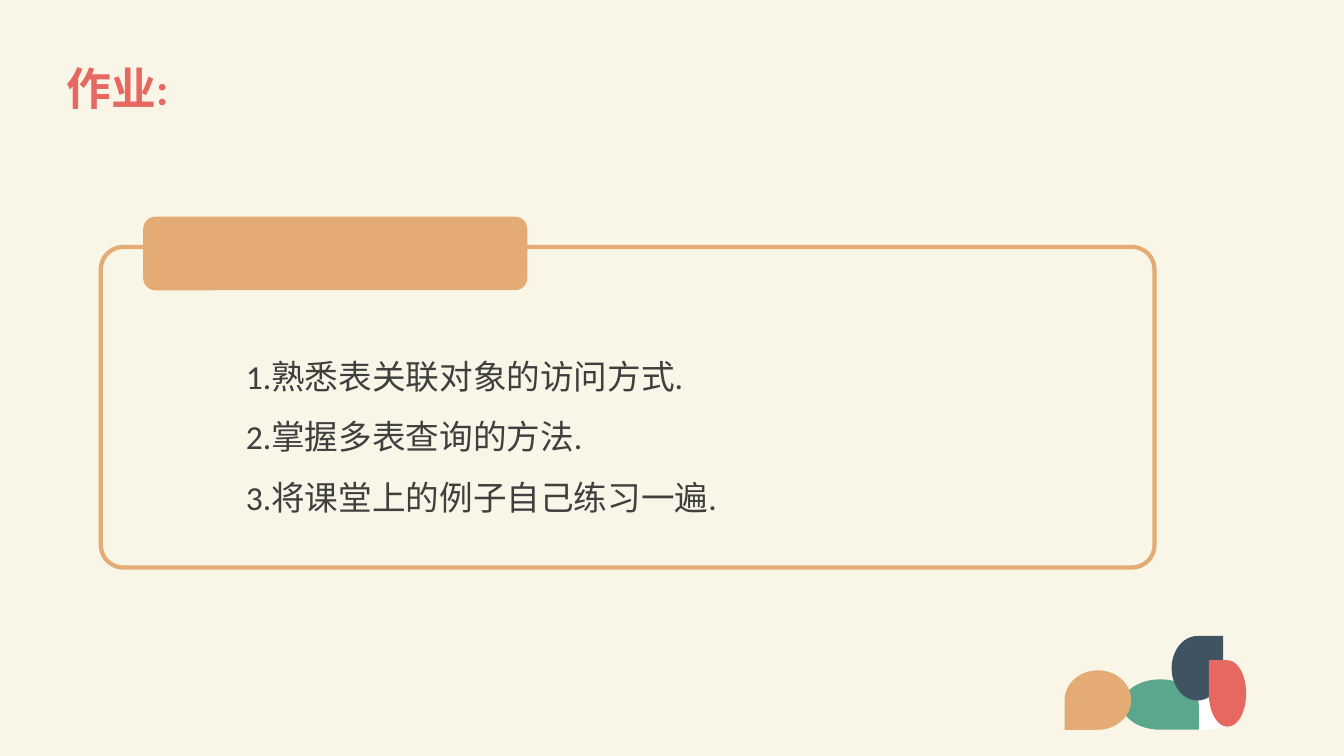
from dataclasses import dataclass

from pptx import Presentation
from pptx.dml.color import RGBColor
from pptx.enum.shapes import MSO_SHAPE
from pptx.enum.text import MSO_ANCHOR
from pptx.util import Inches, Pt

OVAL = MSO_SHAPE.OVAL
ROUND_RECT = MSO_SHAPE.ROUNDED_RECTANGLE
TEARDROP = MSO_SHAPE.TEAR
TOP = MSO_ANCHOR.TOP
MIDDLE = MSO_ANCHOR.MIDDLE


@dataclass(frozen=True)
class Theme:
    """Colours, font and type sizes of the slide."""
    cream: str = "F9F6E7"
    coral: str = "E76861"
    sand: str = "E5AB74"
    green: str = "5BA78C"
    navy: str = "3F5361"
    white: str = "FFFFFF"
    ink: str = "3F3F3F"
    font: str = "Calibri"
    title_size: int = 32
    body_size: int = 24
    frame_width: int = 3


THEME = Theme()
TASKS = (
    "1.熟悉表关联对象的访问方式.",
    "2.掌握多表查询的方法.",
    "3.将课堂上的例子自己练习一遍.",
)


def rgb(value):
    """Turn a hex string into a colour."""
    return RGBColor.from_string(value)


def add_shape(slide, kind, box, fill=None, line=None):
    """Add a flat preset shape with an optional fill and outline."""
    sp = slide.shapes.add_shape(kind, *map(Inches, box))
    sp.shadow.inherit = False
    if fill:
        sp.fill.solid()
        sp.fill.fore_color.rgb = rgb(fill)
    else:
        sp.fill.background()
    if line:
        sp.line.color.rgb = rgb(line)
        sp.line.width = Pt(THEME.frame_width)
    else:
        sp.line.fill.background()
    return sp


def add_text(slide, box, lines, size, color, spacing, bold=False, anchor=TOP):
    """Add a wrapping text box with one paragraph per line."""
    tf = slide.shapes.add_textbox(*map(Inches, box)).text_frame
    tf.word_wrap = True
    tf.vertical_anchor = anchor
    for i, text in enumerate(lines):
        p = tf.paragraphs[0] if i == 0 else tf.add_paragraph()
        p.line_spacing = spacing
        r = p.add_run()
        r.text = text
        r.font.name = THEME.font
        r.font.size = Pt(size)
        r.font.bold = bold
        r.font.color.rgb = rgb(color)


def add_title(slide, box):
    """Add the slide heading."""
    add_text(slide, box, ["作业:"], THEME.title_size, THEME.coral, 0.9,
             bold=True, anchor=MIDDLE)


def add_petals(slide, box):
    """Add the corner ornament of an oval and four petals."""
    x, y, _, _ = box
    add_shape(slide, OVAL, (x + 1.08, y + 0.63, 0.6, 0.3), THEME.white)
    petals = (
        (0.57, 0.43, 0.76, 0.5, THEME.green, False, True),
        (1.06, 0, 0.51, 0.64, THEME.navy, False, False),
        (1.43, 0.24, 0.37, 0.66, THEME.coral, True, False),
        (0, 0.34, 0.66, 0.59, THEME.sand, True, True),
    )
    for dx, dy, w, h, color, flip_h, flip_v in petals:
        sp = add_shape(slide, TEARDROP, (x + dx, y + dy, w, h), color)
        xfrm = sp._element.spPr.xfrm
        xfrm.set("flipH", str(int(flip_h)))
        xfrm.set("flipV", str(int(flip_v)))


def add_task_card(slide, box):
    """Add the outlined card with its tab and the task list."""
    x, y, _, _ = box
    frame = add_shape(slide, ROUND_RECT, box, line=THEME.sand)
    frame.adjustments[0] = 0.07
    add_shape(slide, ROUND_RECT, (x + 0.42, y - 0.3, 3.81, 0.73), THEME.sand)
    add_text(slide, (x + 1.34, y + 0.83, 5.3, 1.92), TASKS,
             THEME.body_size, THEME.ink, 1.5)


def main():
    """Build the homework slide and save it."""
    prs = Presentation()
    prs.slide_width, prs.slide_height = Inches(13.33), Inches(7.5)
    slide = prs.slides.add_slide(prs.slide_layouts[6])
    slide.background.fill.solid()
    slide.background.fill.fore_color.rgb = rgb(THEME.cream)
    add_title(slide, (0.56, 0.37, 12.29, 1.06))
    add_petals(slide, (10.56, 6.31, 1.8, 0.93))
    add_task_card(slide, (1, 2.45, 10.45, 3.18))
    prs.save("out.pptx")


if __name__ == "__main__":
    main()
